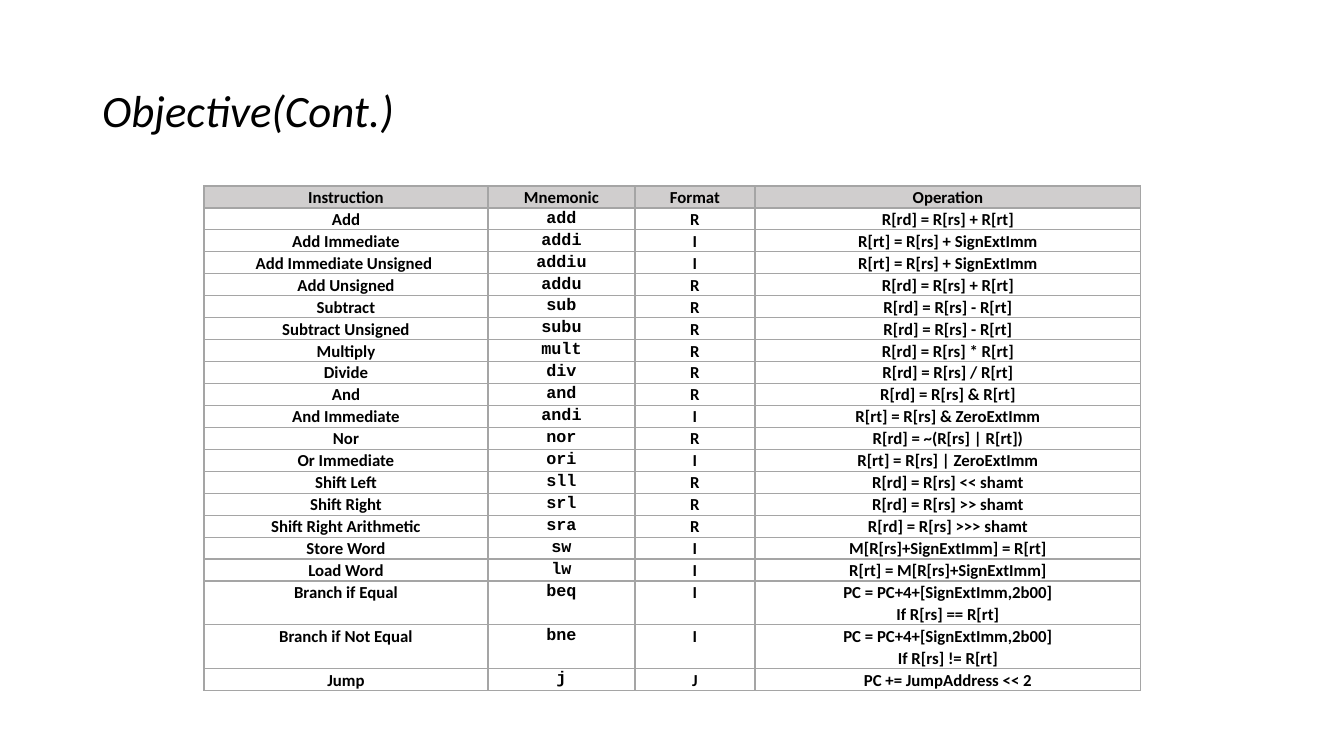
from dataclasses import dataclass
from typing import NamedTuple

from lxml.etree import SubElement
from pptx import Presentation
from pptx.dml.color import RGBColor as RGB
from pptx.enum.text import MSO_ANCHOR as Anchor, MSO_AUTO_SIZE as AutoSize, PP_ALIGN as Align
from pptx.oxml.ns import qn
from pptx.util import Pt

EMU_PER_PX = 914400 / 100.8


def px(length: int) -> int:
    return round(length * EMU_PER_PX)


@dataclass(frozen=True)
class Theme:
    ink: str = "000000"
    header_fill: str = "D0CECE"
    body_fill: str = "FFFFFF"
    border: str = "A5A5A5"
    text_font: str = "Calibri"
    code_font: str = "Courier New"
    title_pt: int = 32
    cell_pt: int = 12
    border_pt: int = 1


class Instruction(NamedTuple):
    name: str
    mnemonic: str
    format: str
    operation: str


class Column(NamedTuple):
    heading: str
    width: int
    font: str


THEME = Theme()
LINE_HEIGHT = 21
CELL_INSET = 7

COLUMNS = [
    Column("Instruction", 284, THEME.text_font),
    Column("Mnemonic", 147, THEME.code_font),
    Column("Format", 120, THEME.text_font),
    Column("Operation", 386, THEME.text_font),
]

INSTRUCTIONS = [
    Instruction("Add", "add", "R", "R[rd] = R[rs] + R[rt]"),
    Instruction("Add Immediate", "addi", "I", "R[rt] = R[rs] + SignExtImm"),
    Instruction("Add Immediate Unsigned ", "addiu", "I", "R[rt] = R[rs] + SignExtImm"),
    Instruction("Add Unsigned", "addu", "R", "R[rd] = R[rs] + R[rt]"),
    Instruction("Subtract", "sub", "R", "R[rd] = R[rs] - R[rt]"),
    Instruction("Subtract Unsigned", "subu", "R", "R[rd] = R[rs] - R[rt]"),
    Instruction("Multiply", "mult", "R", "R[rd] = R[rs] * R[rt]"),
    Instruction("Divide", "div", "R", "R[rd] = R[rs] / R[rt]"),
    Instruction("And", "and", "R", "R[rd] = R[rs] & R[rt]"),
    Instruction("And Immediate", "andi", "I", "R[rt] = R[rs] & ZeroExtImm"),
    Instruction("Nor", "nor", "R", "R[rd] = ~(R[rs] | R[rt])"),
    Instruction("Or Immediate", "ori", "I", "R[rt] = R[rs] | ZeroExtImm"),
    Instruction("Shift Left", "sll", "R", "R[rd] = R[rs] << shamt"),
    Instruction("Shift Right", "srl", "R", "R[rd] = R[rs] >> shamt"),
    Instruction("Shift Right Arithmetic", "sra", "R", "R[rd] = R[rs] >>> shamt"),
    Instruction("Store Word", "sw", "I", "M[R[rs]+SignExtImm] = R[rt]"),
    Instruction("Load Word", "lw", "I", "R[rt] = M[R[rs]+SignExtImm]"),
    Instruction("Branch if Equal", "beq", "I", "PC = PC+4+[SignExtImm,2b00]\nIf R[rs] == R[rt]"),
    Instruction("Branch if Not Equal", "bne", "I", "PC = PC+4+[SignExtImm,2b00]\nIf R[rs] != R[rt]"),
    Instruction("Jump", "j", "J", "PC += JumpAddress << 2"),
]


def format_runs(paragraph, font: str, size: int, bold: bool = False, italic: bool = False) -> None:
    for run in paragraph.runs:
        run.font.name = font
        run.font.size = Pt(size)
        run.font.bold = bold
        run.font.italic = italic
        run.font.color.rgb = RGB.from_string(THEME.ink)


def add_borders(cell) -> None:
    properties = cell._tc.get_or_add_tcPr()
    for side in ("lnL", "lnR", "lnT", "lnB"):
        line = SubElement(properties, qn(f"a:{side}"), w=str(Pt(THEME.border_pt)))
        SubElement(SubElement(line, qn("a:solidFill")), qn("a:srgbClr"), val=THEME.border)


def fill_cell(cell, text: str, font: str, fill: str) -> None:
    add_borders(cell)
    cell.fill.solid()
    cell.fill.fore_color.rgb = RGB.from_string(fill)
    cell.margin_left = cell.margin_right = px(CELL_INSET)
    cell.margin_top = cell.margin_bottom = 0
    cell.text_frame.text = text
    for paragraph in cell.text_frame.paragraphs:
        paragraph.alignment = Align.CENTER
        paragraph.line_spacing = 1.07
        format_runs(paragraph, font, THEME.cell_pt, bold=True)


def add_title(slide, text: str) -> None:
    title = slide.shapes.title
    title.left, title.top, title.width, title.height = map(px, (92, 40, 1159, 146))
    frame = title.text_frame
    frame.text = text
    frame.auto_size = AutoSize.NONE
    frame.vertical_anchor = Anchor.MIDDLE
    heading = frame.paragraphs[0]
    heading.alignment = Align.LEFT
    heading.line_spacing = 0.9
    format_runs(heading, THEME.text_font, THEME.title_pt, italic=True)


def add_instruction_table(slide, left: int, top: int) -> None:
    line_counts = [1] + [entry.operation.count("\n") + 1 for entry in INSTRUCTIONS]
    width = sum(column.width for column in COLUMNS)
    table = slide.shapes.add_table(
        len(line_counts), len(COLUMNS),
        px(left), px(top), px(width), px(LINE_HEIGHT * sum(line_counts)),
    ).table
    table.first_row = table.horz_banding = False
    for row, lines in zip(table.rows, line_counts):
        row.height = px(LINE_HEIGHT * lines)

    for c, column in enumerate(COLUMNS):
        table.columns[c].width = px(column.width)
        fill_cell(table.cell(0, c), column.heading, THEME.text_font, THEME.header_fill)
        for r, entry in enumerate(INSTRUCTIONS, start=1):
            fill_cell(table.cell(r, c), entry[c], column.font, THEME.body_fill)


def main() -> None:
    presentation = Presentation()
    presentation.slide_width, presentation.slide_height = px(1344), px(756)
    # "Title Only" layout
    slide = presentation.slides.add_slide(presentation.slide_layouts[5])
    add_title(slide, "Objective(Cont.)")
    add_instruction_table(slide, left=204, top=186)
    presentation.save("out.pptx")


if __name__ == "__main__":
    main()
